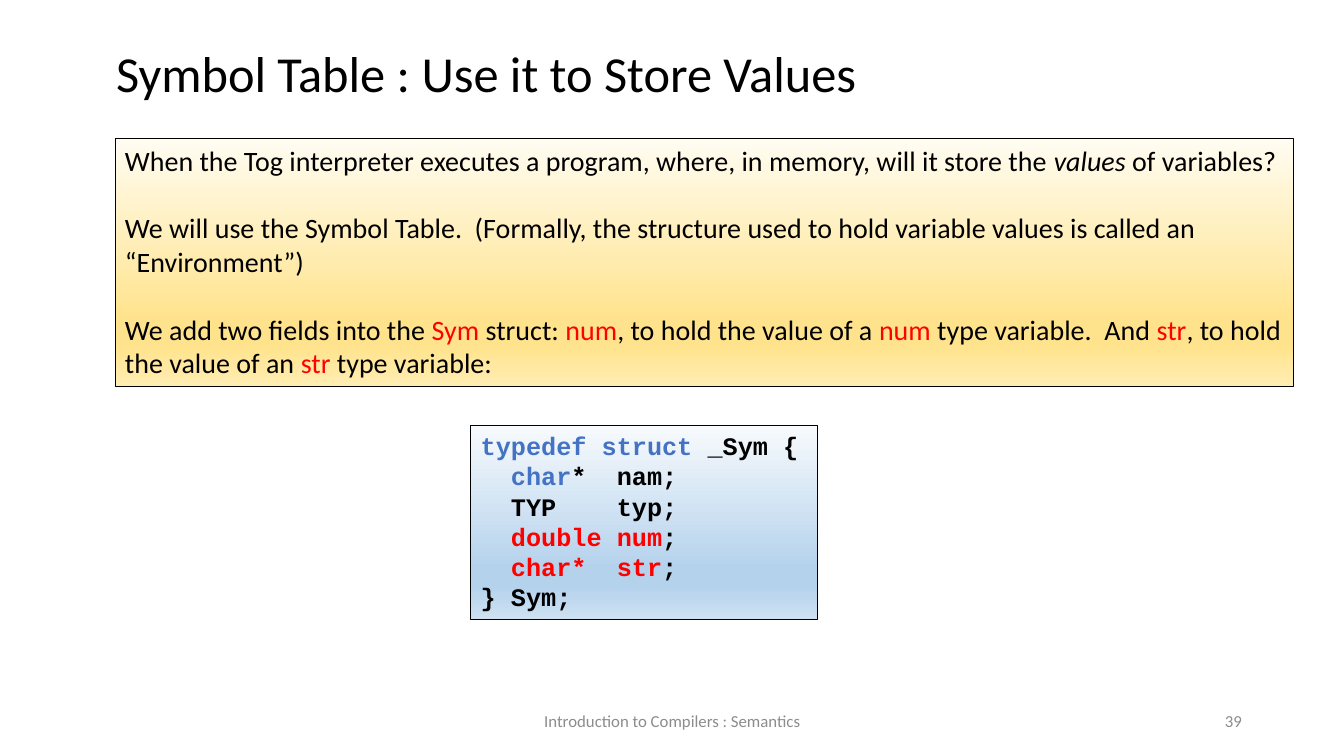
from lxml.etree import SubElement
from pptx import Presentation
from pptx.dml.color import RGBColor
from pptx.enum.shapes import MSO_SHAPE
from pptx.enum.text import MSO_ANCHOR as ANCHOR, MSO_AUTO_SIZE as AUTO, PP_ALIGN as ALIGN
from pptx.oxml.ns import qn
from pptx.util import Cm, Pt

COLOURS = {"black": "000000", "red": "FF0000", "blue": "4472C4", "grey": "8C8C8C"}
YELLOWS = {0: "FFFCF2", 74: "FFE38C", 83: "FFE38C", 100: "FFECB2"}
BLUES = {0: "F7FAFD", 74: "B5D2EC", 83: "B5D2EC", 100: "CEE1F2"}


def add_runs(p, runs, **font):
    """Add (text, colour name) runs to p; a newline becomes a line break."""
    for text, colour in runs:
        for i, part in enumerate(text.split("\n")):
            if i:
                p.add_line_break()
            if part:
                r = p.add_run()
                r.text = part
                for name, value in font.items():
                    setattr(r.font, name, value)
                r.font.color.rgb = RGBColor.from_string(COLOURS[colour])


def style_panel(sp, stops):
    """Give sp a downward gradient and a thin black outline."""
    sp.fill.gradient()
    sp.fill.gradient_angle = 270
    gs_list = sp._element.spPr.find(qn("a:gradFill")).find(qn("a:gsLst"))
    gs_list.clear()
    for percent, colour in stops.items():
        gs = SubElement(gs_list, qn("a:gs"), pos=str(percent * 1000))
        SubElement(gs, qn("a:srgbClr"), val=colour)
    sp.line.color.rgb = RGBColor.from_string(COLOURS["black"])
    sp.line.width = Pt(0.75)


prs = Presentation()
prs.slide_width, prs.slide_height = Cm(33.87), Cm(19.05)
s = prs.slides.add_slide(prs.slide_layouts[1])

# Title
title = s.shapes.title
title.left, title.top, title.width, title.height = Cm(2.67), Cm(0.94), Cm(23.47), Cm(1.78)
title.text_frame.auto_size = AUTO.NONE
p = title.text_frame.paragraphs[0]
p.alignment = ALIGN.LEFT
add_runs(p, [("Symbol Table : Use it to Store Values", "black")], name="Calibri", size=Pt(36))

# Explanation
panel = s.shapes.add_shape(MSO_SHAPE.RECTANGLE, Cm(2.9), Cm(3.48), Cm(29.69), Cm(6.25))
panel.shadow.inherit = False
style_panel(panel, YELLOWS)
tf = panel.text_frame
tf.word_wrap = True
tf.vertical_anchor = ANCHOR.TOP
explanation = [
    [("When the Tog interpreter executes a program, where, in memory, will it store the ", "black"),
     ("values", "black"), (" of variables?", "black")],
    [("We will use the Symbol Table.  (Formally, the structure used to hold variable values "
      "is called an “Environment”)", "black")],
    [("We add two fields into the ", "black"), ("Sym ", "red"), ("struct: ", "black"),
     ("num", "red"), (", to hold the value of a ", "black"), ("num", "red"),
     (" type variable.  And ", "black"), ("str", "red"),
     (", to hold the value of an ", "black"), ("str", "red"), (" type variable:", "black")],
]
for i, runs in enumerate(explanation):
    p = tf.add_paragraph() if i else tf.paragraphs[0]
    p.alignment = ALIGN.LEFT
    p.space_before = Pt(24.4 if i else 0)
    add_runs(p, runs, name="Calibri", size=Pt(20))
tf.paragraphs[0].runs[1].font.italic = True

# Code
code = s.placeholders[1]
code.left, code.top, code.width, code.height = Cm(11.86), Cm(10.72), Cm(8.74), Cm(4.88)
style_panel(code, BLUES)
code.text_frame.auto_size = AUTO.NONE
p = code.text_frame.paragraphs[0]
pPr = p._p.get_or_add_pPr()
pPr.set("marL", "0")
pPr.set("indent", "0")
SubElement(pPr, qn("a:buNone"))
p.space_before = Pt(0)
p.line_spacing = Pt(21.6)
add_runs(p, [
    ("typedef struct ", "blue"), ("_Sym {\n  ", "black"),
    ("char", "blue"), ("*  nam;\n  TYP    typ;\n  ", "black"),
    ("double num", "red"), (";\n  ", "black"),
    ("char*  str", "red"), (";\n} Sym;", "black"),
], name="Courier New", size=Pt(18), bold=True)

# Footer and slide number
for text, left, width, align in [
    ("Introduction to Compilers : Semantics", 11.23, 11.43, ALIGN.CENTER),
    ("39", 23.93, 7.62, ALIGN.RIGHT),
]:
    tf = s.shapes.add_textbox(Cm(left), Cm(17.65), Cm(width), Cm(1.02)).text_frame
    tf.word_wrap = True
    tf.vertical_anchor = ANCHOR.MIDDLE
    tf.paragraphs[0].alignment = align
    add_runs(tf.paragraphs[0], [(text, "grey")], name="Calibri", size=Pt(12))

prs.save("out.pptx")
